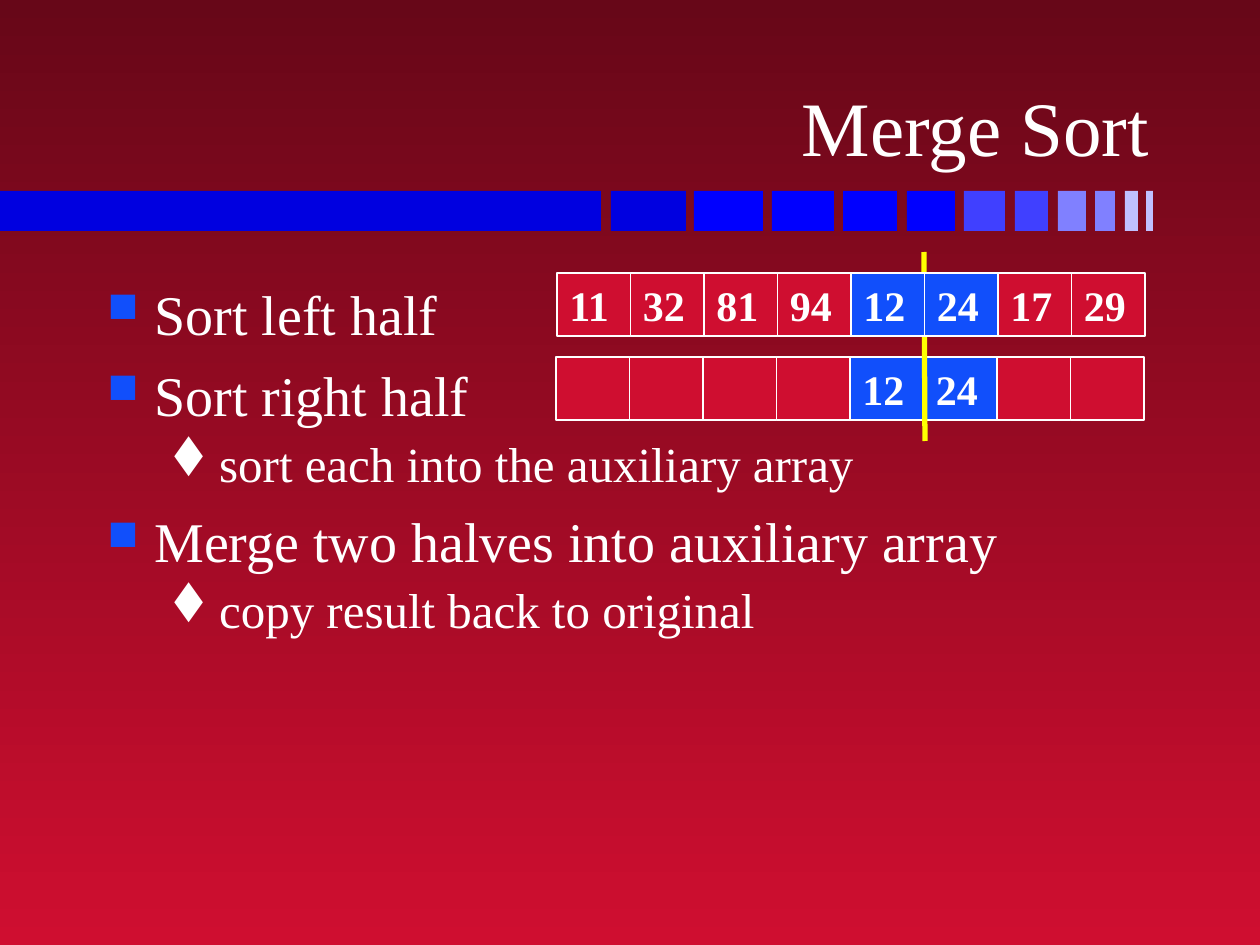
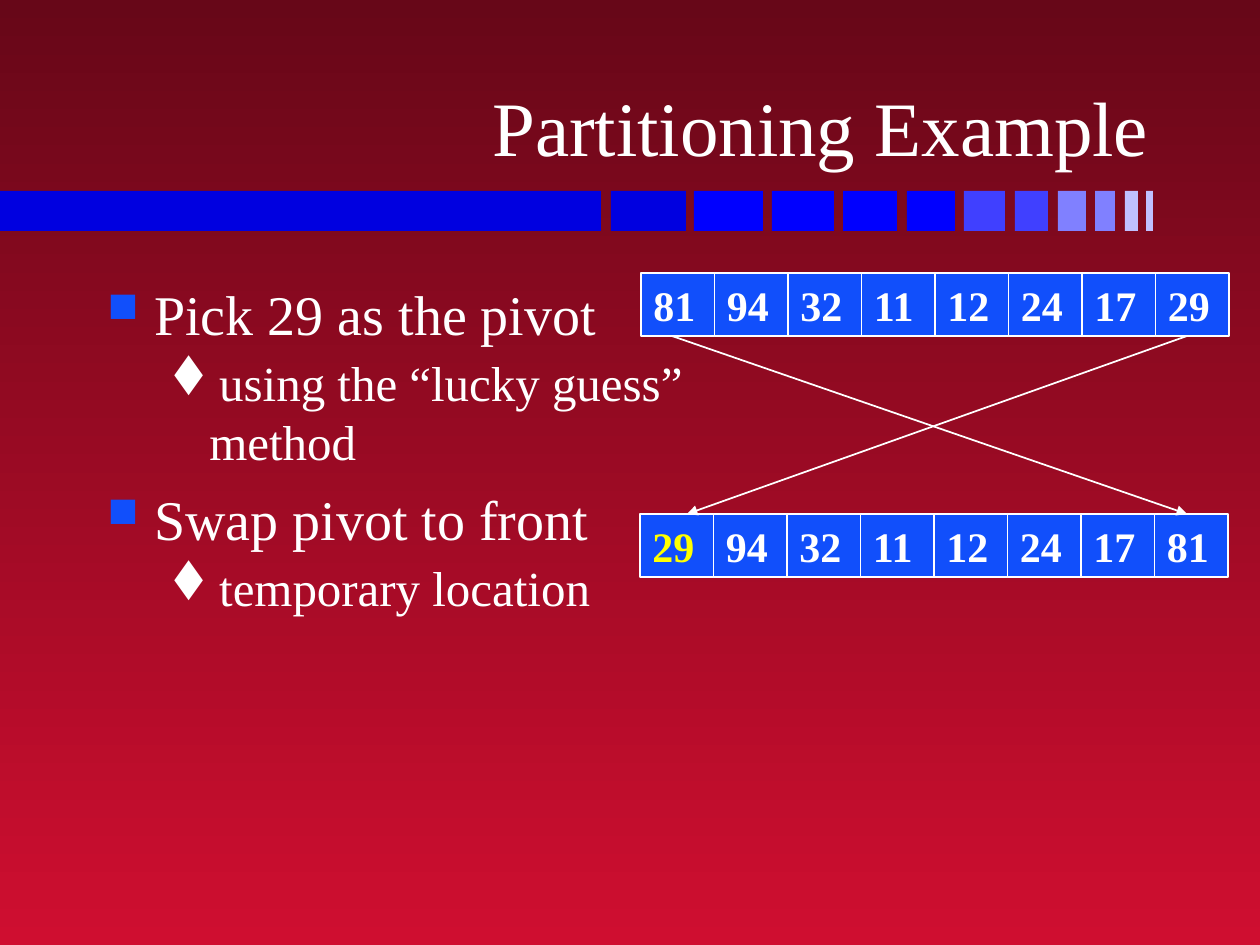
"""Build two slides on sorting: merge sort and choosing a quicksort pivot."""
from lxml import etree
from pptx import Presentation
from pptx import util as u
from pptx.dml.color import RGBColor
from pptx.enum import shapes, text
from pptx.oxml.ns import qn

COLORS = {
    "dark": "670718", "red": "CF0E30", "blue": "114FFB", "white": "FFFFFF",
    "yellow": "FFFF00", "navy": "0000E0", "pure": "0000FF", "mid": "4040FF",
    "light": "8080FF", "pale": "C0C0FF",
}
FONT, BULLET_FONT = "Times New Roman", "Wingdings"
ROW_WIDTH, CELL_HEIGHT = 588, 63
BAND_TOP, BAND_HEIGHT = 191, 40
BAND = [
    (0, 601, "navy"), (611, 75, "navy"), (694, 69, "pure"), (772, 62, "pure"),
    (843, 54, "pure"), (907, 48, "pure"), (964, 41, "mid"), (1015, 33, "mid"),
    (1058, 28, "light"), (1095, 20, "light"), (1125, 13, "pale"), (1146, 7, "pale"),
]
LEVELS = [
    {"size": 32, "before": 8, "margin": 47, "hang": 47,
     "mark": "n", "color": "blue", "percent": 75},
    {"size": 28, "before": 3.5, "margin": 102, "hang": 39,
     "mark": "t", "color": "white", "percent": 100},
]


def px(length):
    """Turn px at 126 to the inch into EMU."""
    return u.Emu(round(length * 914400 / 126))


def rgb(name):
    """Look up a named colour."""
    return RGBColor.from_string(COLORS[name])


def format_runs(para, size, color="white", bold=False):
    """Apply font, size, colour and weight to every run of a paragraph."""
    for span in para.runs:
        span.font.name = FONT
        span.font.size = u.Pt(size)
        span.font.bold = bold
        span.font.color.rgb = rgb(color)


def add_rect(page, left, top, width, height, fill):
    """Add a plain filled rectangle without outline or shadow."""
    box = page.shapes.add_shape(
        shapes.MSO_SHAPE.RECTANGLE, px(left), px(top), px(width), px(height))
    box.shadow.inherit = False
    box.fill.solid()
    box.fill.fore_color.rgb = rgb(fill)
    box.line.fill.background()
    return box


def style_layout(layout):
    """Give the layout its vertical gradient background."""
    fill = layout.background.fill
    fill.gradient()
    fill.gradient_angle = 270
    for stop, position, name in zip(fill.gradient_stops, (0, 1), ("dark", "red")):
        stop.position = position
        stop.color.rgb = rgb(name)


def move_band_to_layout(page, layout):
    """Draw the fading band and hand it to the layout all slides share."""
    for index, (left, width, fill) in enumerate(BAND):
        block = add_rect(page, left, BAND_TOP, width, BAND_HEIGHT, fill)
        block.element.nvSpPr.cNvPr.set("id", str(100 + index))
        layout.shapes.element.append(block.element)


def set_title(page, words):
    """Place and format the title placeholder."""
    title = page.shapes.title
    title.left, title.top, title.width, title.height = map(px, (93, 24, 1069, 154))
    frame = title.text_frame
    frame.text = words
    frame.auto_size = text.MSO_AUTO_SIZE.NONE
    frame.vertical_anchor = text.MSO_ANCHOR.BOTTOM
    para = frame.paragraphs[0]
    para.alignment = text.PP_ALIGN.RIGHT
    format_runs(para, 44)


def add_bullet(para, level):
    """Give a paragraph the hanging symbol bullet of its level."""
    props = para._p.get_or_add_pPr()
    props.set("marL", str(px(level["margin"])))
    props.set("indent", str(-px(level["hang"])))
    color = etree.SubElement(props, qn("a:buClr"))
    etree.SubElement(color, qn("a:srgbClr"), val=COLORS[level["color"]])
    etree.SubElement(props, qn("a:buSzPct"), val=str(level["percent"] * 1000))
    etree.SubElement(props, qn("a:buFont"), typeface=BULLET_FONT,
                     pitchFamily="2", charset="2")
    etree.SubElement(props, qn("a:buChar"), char=level["mark"])


def add_outline(page, items):
    """Add the two-level bullet list."""
    box = page.shapes.add_textbox(px(95), px(273), px(1071), px(567))
    frame = box.text_frame
    frame.word_wrap = True
    for index, (depth, words) in enumerate(items):
        para = frame.add_paragraph() if index else frame.paragraphs[0]
        level = LEVELS[depth]
        para.text = words
        para.level = depth
        add_bullet(para, level)
        para.space_before = u.Pt(level["before"] if index else 0)
        format_runs(para, level["size"])


def add_array(page, left, top, values, fills, accent=None):
    """Add a row of equal cells; the accent cell has yellow text."""
    width = ROW_WIDTH / len(values)
    for index, (value, fill) in enumerate(zip(values, fills)):
        cell = add_rect(page, left + index * width, top, width, CELL_HEIGHT, fill)
        cell.line.color.rgb = rgb("white")
        cell.line.width = u.Pt(1)
        if value:
            frame = cell.text_frame
            frame.text = value
            frame.word_wrap = False
            frame.vertical_anchor = text.MSO_ANCHOR.MIDDLE
            para = frame.paragraphs[0]
            para.alignment = text.PP_ALIGN.LEFT
            format_runs(para, 24, "yellow" if index == accent else "white", True)


def add_line(page, start, end, color="white", weight=1, arrow=False):
    """Add a straight line, with an arrowhead at its end if wanted."""
    line = page.shapes.add_connector(
        shapes.MSO_CONNECTOR.STRAIGHT, *map(px, start + end))
    line.line.color.rgb = rgb(color)
    line.line.width = u.Pt(weight)
    props = line.element.spPr
    if arrow:
        etree.SubElement(props.find(qn("a:ln")), qn("a:tailEnd"), type="triangle")
    etree.SubElement(props, qn("a:effectLst"))


def build_merge_sort(page):
    """Fill the merge sort slide."""
    set_title(page, "Merge Sort")
    add_outline(page, [
        (0, "Sort left half"),
        (0, "Sort right half"),
        (1, "sort each into the auxiliary array"),
        (0, "Merge two halves into auxiliary array"),
        (1, "copy result back to original"),
    ])
    fills = ["red"] * 4 + ["blue"] * 2 + ["red"] * 2
    add_array(page, 556, 357, [""] * 4 + ["12", "24"] + [""] * 2, fills)
    add_line(page, (924, 252), (925, 441), "yellow", 3)
    add_array(page, 557, 273, "11 32 81 94 12 24 17 29".split(), fills)


def build_partitioning(page):
    """Fill the partitioning slide."""
    set_title(page, "Partitioning Example")
    add_outline(page, [
        (0, "Pick 29 as the pivot"),
        (1, "using the “lucky guess”\vmethod"),
        (0, "Swap pivot to front"),
        (1, "temporary location"),
    ])
    fills = ["blue"] * 8
    add_array(page, 641, 273, "81 94 32 11 12 24 17 29".split(), fills)
    add_array(page, 640, 514, "29 94 32 11 12 24 17 81".split(), fills, accent=0)
    add_line(page, (672, 336), (1187, 514), arrow=True)
    add_line(page, (1187, 336), (687, 514), arrow=True)


def main():
    """Build and save the deck."""
    deck = Presentation()
    deck.slide_width, deck.slide_height = px(1260), px(945)
    layout = deck.slide_layouts[5]
    style_layout(layout)
    pages = [deck.slides.add_slide(layout) for _ in range(2)]
    move_band_to_layout(pages[0], layout)
    build_merge_sort(pages[0])
    build_partitioning(pages[1])
    deck.save("out.pptx")


if __name__ == "__main__":
    main()
